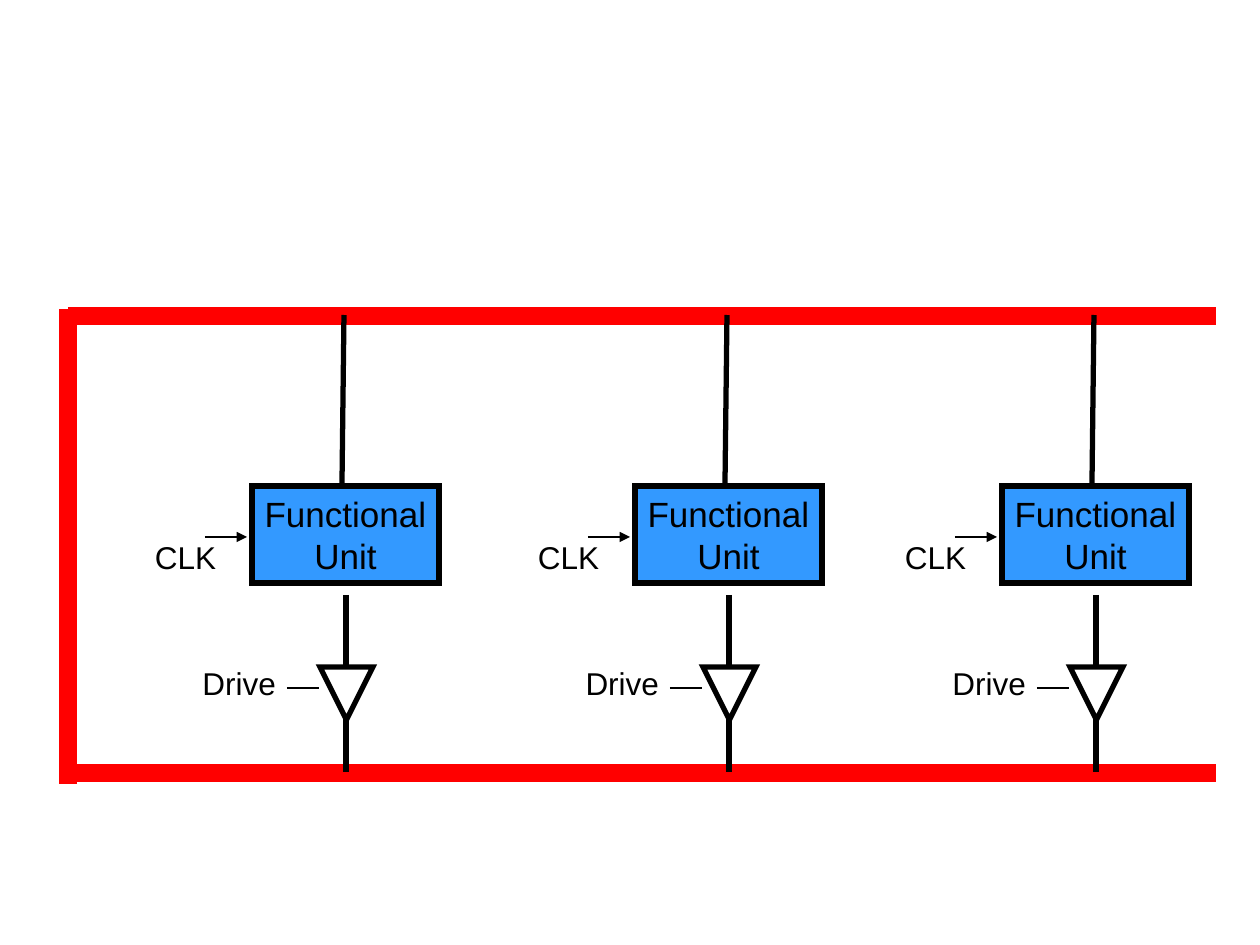
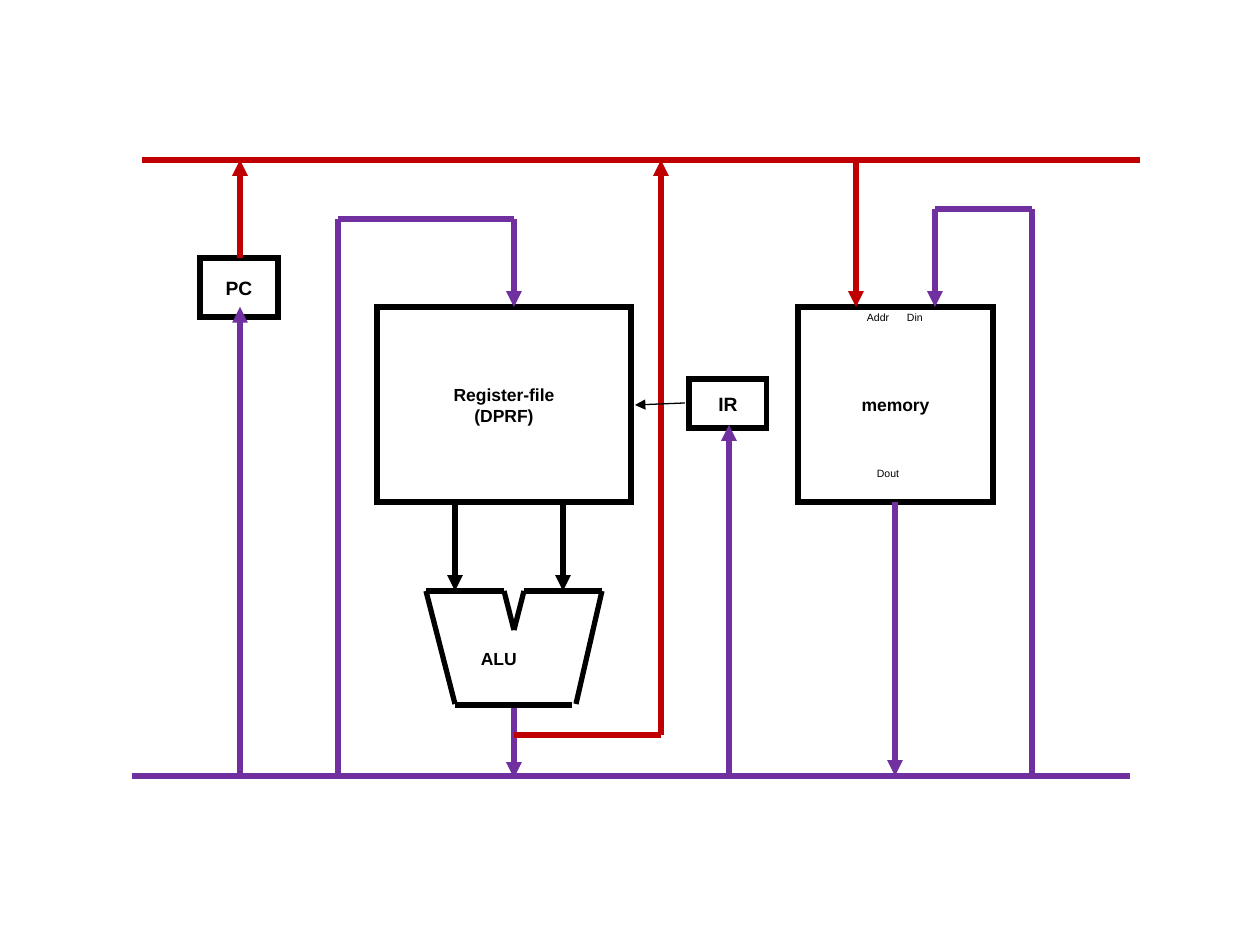
from lxml import etree
from pptx import Presentation
from pptx import util as u
from pptx.dml.color import RGBColor
from pptx.enum import shapes, text
from pptx.oxml import ns

PX_PER_INCH = 126
FONT = "Arial"
BLACK = RGBColor(0, 0, 0)
WHITE = RGBColor(255, 255, 255)
RED = RGBColor(255, 0, 0)
UNIT_BLUE = RGBColor(0x33, 0x99, 0xFF)
ADDRESS_RED = RGBColor(0xC0, 0, 0)
DATA_PURPLE = RGBColor(0x70, 0x30, 0xA0)
RECTANGLE = shapes.MSO_SHAPE.RECTANGLE
MERGE = shapes.MSO_SHAPE.FLOWCHART_MERGE
LEFT, CENTER, RIGHT = text.PP_ALIGN.LEFT, text.PP_ALIGN.CENTER, text.PP_ALIGN.RIGHT
TOP, MIDDLE = text.MSO_ANCHOR.TOP, text.MSO_ANCHOR.MIDDLE

BUS_LINES = [(68, 316, 1216, 316), (68, 309, 68, 784), (68, 773, 1216, 773)]
UNIT_LEFTS = [252, 635, 1002]
UNIT_TEXT = "Functional\nUnit"
UNIT_LINES = [
    (94, 719, 94, 772, 3, False),
    (94, 595, 94, 668, 3, False),
    (90, 483, 92, 315, 3, False),
    (35, 688, 67, 688, 1, False),
    (-47, 537, -5, 537, 0.75, True),
]
UNIT_LABELS = [("Drive", -74, 658, 111, RIGHT), ("CLK", -110, 532, 98, LEFT)]

BLOCKS = [
    ("PC", 200, 258, 78, 59, 11),
    ("memory", 798, 307, 195, 195, 10),
    ("IR", 689, 379, 78, 49, 11),
    ("Register-file\n(DPRF)", 377, 307, 254, 195, 10),
]
LABELS = [
    ("Addr\tDin", (861, 307, 126, 35), 6, {"align": LEFT, "tab": 40}),
    ("Dout", (845, 463, 86, 35), 6, {}),
    ("ALU", (475, 644, 98, 47), 10, {"align": LEFT, "bold": True}),
]
ROUTES = [
    (DATA_PURPLE, True, [(514, 704), (514, 778)]),
    (BLACK, True, [(455, 502), (455, 591)]),
    (BLACK, True, [(563, 502), (563, 591)]),
    (BLACK, False, [(455, 704), (426, 591), (504, 591), (514, 630),
                    (524, 591), (602, 591), (576, 704)]),
    (BLACK, False, [(455, 705), (572, 705)]),
    (ADDRESS_RED, False, [(142, 160), (1140, 160)]),
    (DATA_PURPLE, False, [(132, 776), (1130, 776)]),
    (ADDRESS_RED, True, [(240, 258), (240, 160)]),
    (ADDRESS_RED, True, [(856, 160), (856, 307)]),
    (DATA_PURPLE, True, [(1032, 776), (1032, 209), (935, 209), (935, 307)]),
    (DATA_PURPLE, True, [(895, 502), (895, 776)]),
    (DATA_PURPLE, True, [(240, 776), (240, 307)]),
    (DATA_PURPLE, True, [(338, 776), (338, 219), (514, 219), (514, 307)]),
    (DATA_PURPLE, True, [(729, 776), (729, 425)]),
    (ADDRESS_RED, True, [(514, 735), (661, 735), (661, 160)]),
]
CONTROL_ARROW = (685, 403, 635, 405)


def px(*lengths):
    return [u.Inches(length / PX_PER_INCH) for length in lengths]


def write(shape, content, size, bold=False, align=CENTER, anchor=TOP,
          margins=(6, 4), tab=None):
    frame = shape.text_frame
    frame.word_wrap = True
    frame.vertical_anchor = anchor
    frame.margin_left = frame.margin_right = px(margins[0])[0]
    frame.margin_top = frame.margin_bottom = px(margins[1])[0]
    frame.text = content
    for paragraph in frame.paragraphs:
        paragraph.alignment = align
        if tab:
            stops = etree.SubElement(paragraph._p.get_or_add_pPr(), ns.qn("a:tabLst"))
            etree.SubElement(stops, ns.qn("a:tab"), pos=str(px(tab)[0]), algn="l")
        paragraph.font.name = FONT
        paragraph.font.size = u.Pt(size)
        paragraph.font.bold = bold
        paragraph.font.color.rgb = BLACK


def add_block(slide, kind, box, fill):
    shape = slide.shapes.add_shape(kind, *px(*box))
    shape.shadow.inherit = False
    shape.fill.solid()
    shape.fill.fore_color.rgb = fill
    shape.line.color.rgb = BLACK
    shape.line.width = u.Pt(3)
    etree.SubElement(shape.line._get_or_add_ln(), ns.qn("a:miter"), lim="800000")
    return shape


def add_label(slide, content, box, size, **text_format):
    write(slide.shapes.add_textbox(*px(*box)), content, size, **text_format)


def add_line(slide, ends, color=BLACK, width=3, arrow=False):
    line = slide.shapes.add_connector(shapes.MSO_CONNECTOR.STRAIGHT, *px(*ends))
    line.line.color.rgb = color
    line.line.width = u.Pt(width)
    if arrow:
        etree.SubElement(line.line._get_or_add_ln(), ns.qn("a:tailEnd"), type="triangle")
    etree.SubElement(line._element.spPr, ns.qn("a:effectLst"))


def add_unit(slide, left):
    unit = add_block(slide, RECTANGLE, (left, 486, 187, 97), UNIT_BLUE)
    write(unit, UNIT_TEXT, 20, margins=(6, 6))
    add_block(slide, MERGE, (left + 68, 667, 53, 53), WHITE)
    for x1, y1, x2, y2, width, arrow in UNIT_LINES:
        add_line(slide, (left + x1, y1, left + x2, y2), width=width, arrow=arrow)
    for content, offset, top, width, align in UNIT_LABELS:
        add_label(slide, content, (left + offset, top, width, 50), 18,
                  align=align, margins=(13, 6))


def build_shared_bus(slide):
    for ends in BUS_LINES:
        add_line(slide, ends, RED, 10)
    for left in UNIT_LEFTS:
        add_unit(slide, left)


def build_datapath(slide):
    for content, left, top, width, height, size in BLOCKS:
        block = add_block(slide, RECTANGLE, (left, top, width, height), WHITE)
        write(block, content, size, bold=True, anchor=MIDDLE)
    for content, box, size, text_format in LABELS:
        add_label(slide, content, box, size, **text_format)
    for color, arrow, points in ROUTES:
        segments = list(zip(points, points[1:]))
        for index, (start, end) in enumerate(segments, 1):
            add_line(slide, start + end, color, arrow=arrow and index == len(segments))
    add_line(slide, CONTROL_ARROW, width=0.75, arrow=True)


def main():
    presentation = Presentation()
    presentation.slide_width, presentation.slide_height = px(1260, 945)
    for build in (build_shared_bus, build_datapath):
        build(presentation.slides.add_slide(presentation.slide_layouts[6]))
    presentation.save("out.pptx")


if __name__ == "__main__":
    main()
